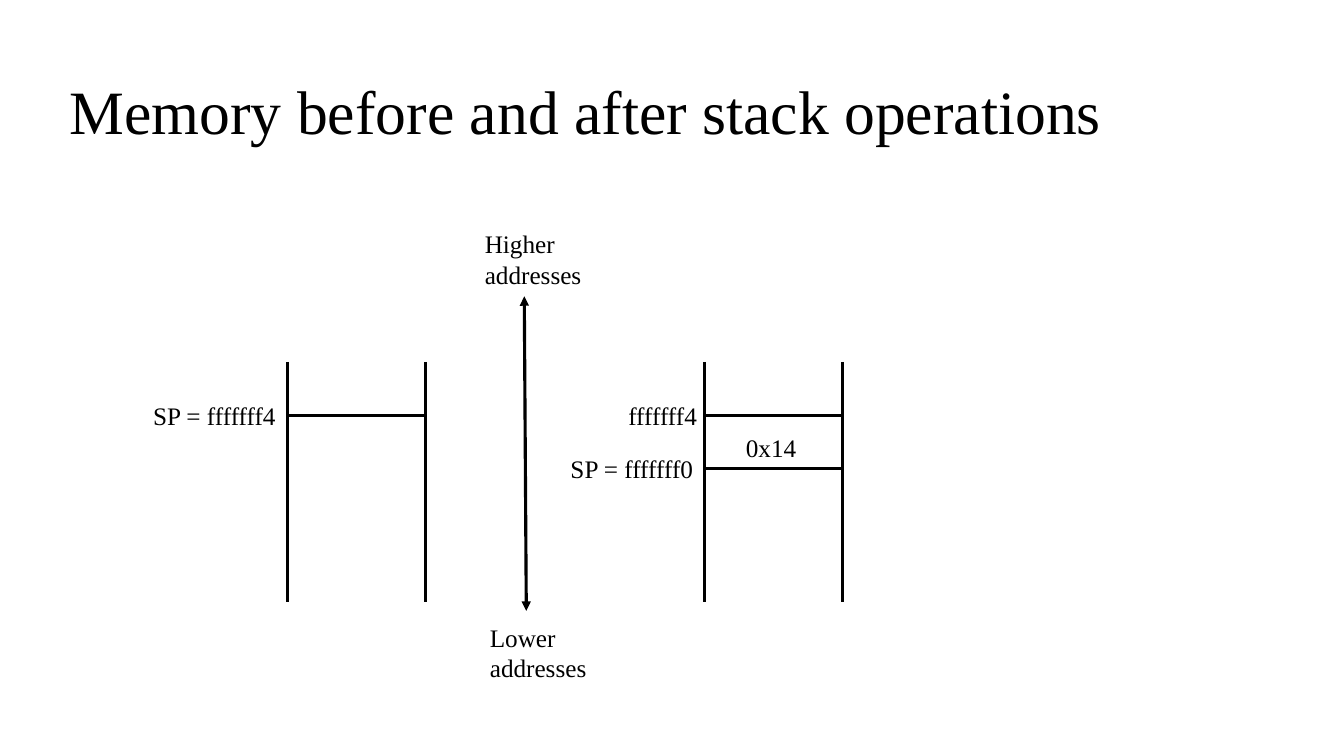
from lxml import etree
from pptx import Presentation
from pptx.dml.color import RGBColor
from pptx.enum.shapes import MSO_CONNECTOR
from pptx.enum.text import MSO_ANCHOR, PP_ALIGN
from pptx.oxml.ns import qn
from pptx.util import Inches, Pt

BLACK = RGBColor(0x00, 0x00, 0x00)
FONT = "Times New Roman"
LEFT, RIGHT = PP_ALIGN.LEFT, PP_ALIGN.RIGHT
MIDDLE = MSO_ANCHOR.MIDDLE
STRAIGHT = MSO_CONNECTOR.STRAIGHT

STACK_TOP, STACK_BOTTOM, STACK_WIDTH = 3.59, 5.97, 1.37
LABEL_WIDTH, LABEL_HEIGHT = 1.49, 0.4


def add_line(shapes, x1, y1, x2, y2):
    line = shapes.add_connector(
        STRAIGHT, Inches(x1), Inches(y1), Inches(x2), Inches(y2))
    line.line.color.rgb = BLACK
    line.line.width = Pt(2.25)
    etree.SubElement(line._element.spPr, qn("a:effectLst"))
    return line


def write(box, text, size, align=LEFT):
    box.text_frame.word_wrap = True
    para = box.text_frame.paragraphs[0]
    para.alignment = align
    span = para.add_run()
    span.text = text
    span.font.name = FONT
    span.font.size = Pt(size)
    span.font.color.rgb = BLACK


deck = Presentation()
deck.slide_width, deck.slide_height = Inches(13.33), Inches(7.5)
page = deck.slides.add_slide(deck.slide_layouts[5])

title = page.shapes.title
title.left, title.top = Inches(0.59), Inches(0.39)
title.width, title.height = Inches(12.15), Inches(1.5)
title.text_frame.vertical_anchor = MIDDLE
write(title, "Memory before and after stack operations", 44)
title.text_frame.paragraphs[0].line_spacing = 0.9

# Each stack: left wall, address marks (y), labels (text, left, top, width, alignment)
stacks = [
    (2.85, [4.12], [("SP = fffffff4", 1.42, 3.92, LABEL_WIDTH, LEFT)]),
    (6.99, [4.12, 4.65], [
        ("fffffff4", 5.52, 3.92, LABEL_WIDTH, RIGHT),
        ("SP = fffffff0", 5.56, 4.45, LABEL_WIDTH, LEFT),
        ("0x14", 7.3, 4.24, 0.83, LEFT),
    ]),
]
for wall, marks, labels in stacks:
    stack = page.shapes.add_group_shape().shapes
    for x in (wall, wall + STACK_WIDTH):
        add_line(stack, x, STACK_TOP, x, STACK_BOTTOM)
    for y in marks:
        add_line(stack, wall, y, wall + STACK_WIDTH, y)
    for text, left, top, width, align in labels:
        box = stack.add_textbox(
            Inches(left), Inches(top), Inches(width), Inches(LABEL_HEIGHT))
        write(box, text, 18, align)

axis = add_line(page.shapes, 5.2, 2.94, 5.22, 6.06)
outline = axis.line._get_or_add_ln()
for end in ("a:headEnd", "a:tailEnd"):
    etree.SubElement(outline, qn(end), type="triangle")

for text, left, top in [("Higher addresses", 4.71, 2.22),
                        ("Lower addresses", 4.76, 6.12)]:
    box = page.shapes.add_textbox(
        Inches(left), Inches(top), Inches(LABEL_WIDTH), Inches(0.71))
    write(box, text, 18)

deck.save("out.pptx")
